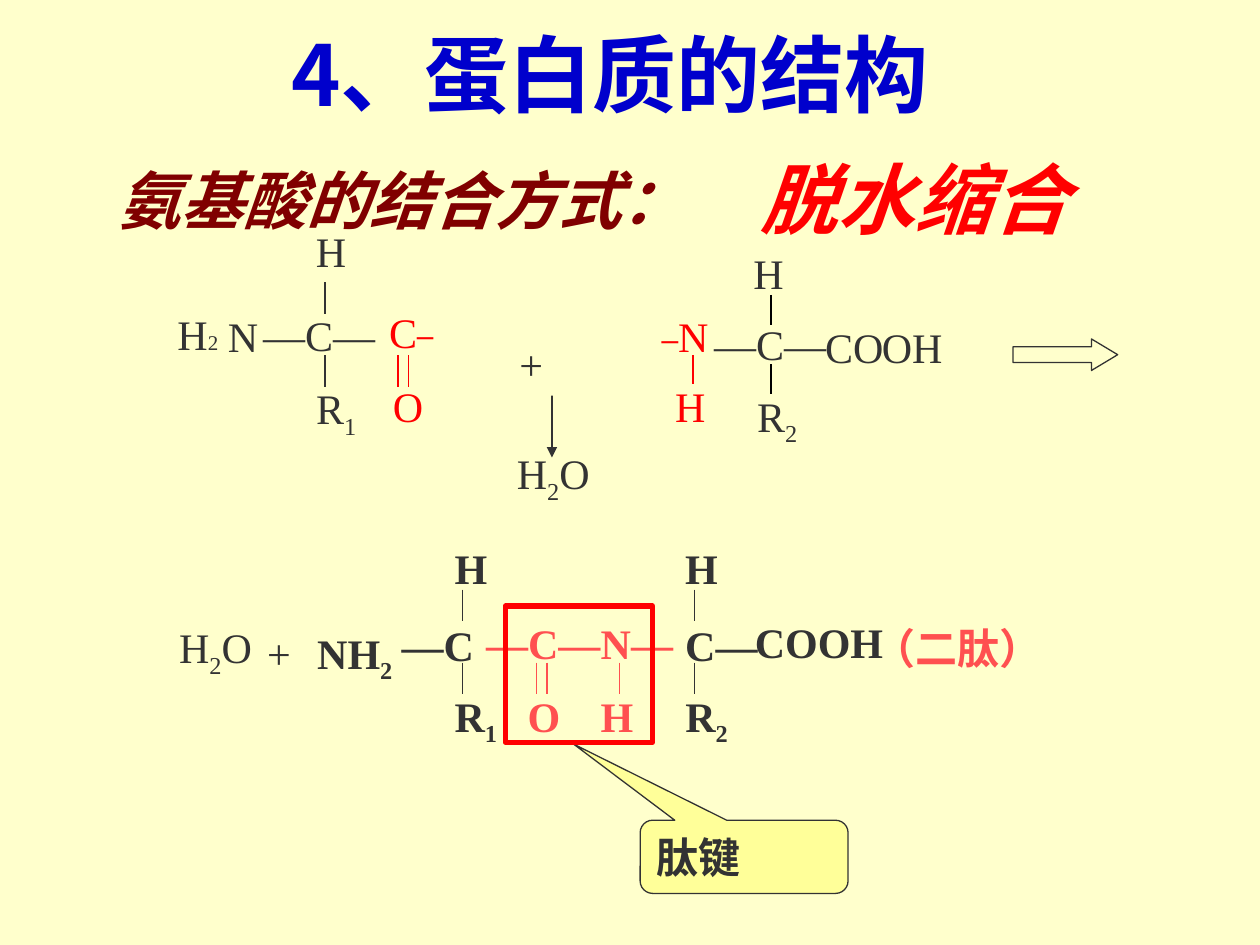
from dataclasses import dataclass
from itertools import groupby

from lxml import etree
from pptx import Presentation
from pptx.dml.color import RGBColor
from pptx.enum.shapes import MSO_CONNECTOR, MSO_SHAPE
from pptx.enum.text import MSO_ANCHOR, MSO_AUTO_SIZE, PP_ALIGN
from pptx.oxml.ns import qn
from pptx.util import Pt

TOP, MIDDLE = MSO_ANCHOR.TOP, MSO_ANCHOR.MIDDLE
LEFT, CENTER = PP_ALIGN.LEFT, PP_ALIGN.CENTER
GROW, FIXED = MSO_AUTO_SIZE.SHAPE_TO_FIT_TEXT, MSO_AUTO_SIZE.NONE
STRAIGHT = MSO_CONNECTOR.STRAIGHT
RECTANGLE, RIGHT_ARROW = MSO_SHAPE.RECTANGLE, MSO_SHAPE.RIGHT_ARROW
CALLOUT = MSO_SHAPE.ROUNDED_RECTANGULAR_CALLOUT

LATIN_FONT, CJK_FONT = "Times New Roman", "Noto Sans CJK JP"
CREAM, YELLOW, INK, BLACK = "FFFFCC", "FFFF99", "333333", "000000"
BLUE, MAROON, RED, CORAL = "0000CC", "800000", "FF0000", "FF5050"
LINE_HEIGHT, SUBSCRIPT_HEIGHT = 36, 40.3


@dataclass(frozen=True)
class Label:
    """Text in a box; lengths in points. Digits are subscripts unless given a size."""
    text: str
    left: float
    top: float
    width: float = 36
    color: str = INK
    height: float = LINE_HEIGHT
    size: float = 24
    bold: bool = False
    italic: bool = False
    centered: bool = False
    wrap: bool = True
    digit_size: float = 0


@dataclass(frozen=True)
class Bond:
    x: float
    top: float
    color: str = INK
    length: float = 18


HEADINGS = [
    Label("氨基酸的结合方式：", 59.8, 88.6, 442, MAROON, 50.4, 36, True, True),
    Label("脱水缩合", 427.7, 82.8, 204.5, RED, 60.5, 44, True, True),
]

REACTANT_BONDS = [
    Bond(185.8, 161.3), Bond(185.8, 203),
    Bond(227.5, 203, RED), Bond(233.3, 203, RED),
    Bond(396, 203, RED, 16.6),
    Bond(440.6, 168.5, BLACK, 17.3), Bond(440.6, 208.1, BLACK, 17.3),
]
REACTANT_LABELS = [
    Label("N", 123.1, 174.2, 90),
    Label("H", 173.5, 125.3),
    Label("R1", 173.5, 215.3, 66.2, height=SUBSCRIPT_HEIGHT),
    Label("—C—", 143.3, 173.5, 108),
    Label("C—", 215.3, 171.4, 72, RED),
    Label("O", 217.4, 213.8, color=RED),
    Label("H2", 94.3, 172.8, 56.9, digit_size=12),
    Label("—N", 356.4, 174.2, 90, RED),
    Label("H", 378.7, 213.8, color=RED),
    Label("H", 423.4, 138.2),
    Label("R2", 425.5, 219.6, 66.2, height=SUBSCRIPT_HEIGHT),
    Label("—C—", 401, 178.4, 108),
    Label("CO", 464.4, 180, 72),
    Label("OH", 496.8, 180, 54),
]

UPPER_BOND, LOWER_BOND = 337, 378.7
DIPEPTIDE_BONDS = [
    Bond(x, top) for x in (264.2, 396.7) for top in (UPPER_BOND, LOWER_BOND)
] + [Bond(x, LOWER_BOND, CORAL) for x in (306.7, 312.5, 354.2)]
DIPEPTIDE_LABELS = [
    Label("—C", 222.5, 350.7, 108, bold=True),
    Label("NH2", 174.2, 355, 90, height=SUBSCRIPT_HEIGHT, bold=True),
    Label("H", 252.7, 306.7, bold=True),
    Label("R1", 252.7, 391, 66.2, height=SUBSCRIPT_HEIGHT, bold=True),
    Label("—C—", 270.7, 349.2, 102.2, CORAL, bold=True),
    Label("O", 294.5, 391, color=CORAL, bold=True),
    Label("N—", 336.2, 349.2, 66.2, CORAL, bold=True),
    Label("H", 336.2, 391, color=CORAL, bold=True),
    Label("C—", 384.5, 350.7, 78, bold=True),
    Label("H", 384.5, 306.7, bold=True),
    Label("R2", 384.5, 391, 66.2, height=SUBSCRIPT_HEIGHT, bold=True),
    Label("COOH", 424.1, 348.5, 87.8, bold=True, centered=True, wrap=False),
    Label("（二肽）", 468.7, 352.1, 157, CORAL, bold=True, centered=True),
]
WATER_LABELS = [
    Label("H2O", 288, 252, 56.2, height=SUBSCRIPT_HEIGHT, centered=True, wrap=False),
    Label("+", 145.4, 355, 28.1, centered=True, wrap=False),
    Label("H2O", 95, 351.4, 56.2, height=SUBSCRIPT_HEIGHT, centered=True, wrap=False),
]


def rgb(color: str) -> RGBColor:
    return RGBColor.from_string(color)


def add_run(paragraph, text: str, color: str, font_name=LATIN_FONT, **formats):
    run = paragraph.add_run()
    run.text = text
    for name, value in {"name": font_name, **formats}.items():
        setattr(run.font, name, value)
    run.font.color.rgb = rgb(color)
    etree.SubElement(run.font._element, qn("a:ea"), typeface=CJK_FONT)
    return run


def format_frame(frame, **formats) -> None:
    for name, value in formats.items():
        setattr(frame, name, value)


def add_label(slide, label: Label) -> None:
    box = slide.shapes.add_textbox(
        Pt(label.left), Pt(label.top), Pt(label.width), Pt(label.height))
    format_frame(box.text_frame, word_wrap=label.wrap, auto_size=GROW,
                 vertical_anchor=MIDDLE if label.centered else TOP)
    paragraph = box.text_frame.paragraphs[0]
    paragraph.alignment = CENTER if label.centered else LEFT
    for is_digit, characters in groupby(label.text, str.isdigit):
        size = label.digit_size if is_digit and label.digit_size else label.size
        run = add_run(paragraph, "".join(characters), label.color, size=Pt(size),
                      bold=label.bold, italic=label.italic)
        if is_digit and not label.digit_size:
            run.font._element.set("baseline", "-25000")


def add_bond(slide, bond: Bond):
    line = slide.shapes.add_connector(
        STRAIGHT, Pt(bond.x), Pt(bond.top), Pt(bond.x), Pt(bond.top + bond.length))
    line.line.color.rgb = rgb(bond.color)
    line.line.width = Pt(0.75)
    etree.SubElement(line._element.spPr, qn("a:effectLst"))
    return line


def add_outline(slide, kind, left: float, top: float, width: float, height: float,
                fill: str = "", line: str = "", line_width: float = 0.75,
                adjustments: tuple = ()):
    shape = slide.shapes.add_shape(kind, Pt(left), Pt(top), Pt(width), Pt(height))
    shape.shadow.inherit = False
    for index, value in enumerate(adjustments):
        shape.adjustments[index] = value
    if fill:
        shape.fill.solid()
        shape.fill.fore_color.rgb = rgb(fill)
    else:
        shape.fill.background()
    if line:
        shape.line.color.rgb = rgb(line)
        shape.line.width = Pt(line_width)
    else:
        shape.line.fill.background()
    return shape


def add_title(slide) -> None:
    title = slide.shapes.title
    title.left, title.top, title.width, title.height = map(Pt, (76.3, 9.4, 544.3, 64.8))
    format_frame(title.text_frame, word_wrap=True, auto_size=GROW, vertical_anchor=TOP)
    paragraph = title.text_frame.paragraphs[0]
    paragraph.alignment = CENTER
    add_run(paragraph, "4、蛋白质的结构", BLUE, CJK_FONT, size=Pt(48), bold=True)


def add_water_release(slide) -> None:
    arrow = add_bond(slide, Bond(315.4, 221.8, INK, 39.6))
    etree.SubElement(arrow.line._get_or_add_ln(), qn("a:tailEnd"), type="triangle")
    panel = add_outline(slide, RECTANGLE, 247.7, 154.1, 130.3, 72, fill=CREAM)
    format_frame(panel.text_frame, word_wrap=True, auto_size=FIXED, vertical_anchor=TOP)
    plus = panel.text_frame.paragraphs[0]
    plus.alignment, plus.line_spacing = LEFT, 2.25
    plus._p.get_or_add_pPr().set("marL", str(Pt(42)))
    add_run(plus, "+", INK, size=Pt(24))


def add_peptide_bond_callout(slide) -> None:
    callout = add_outline(slide, CALLOUT, 365.8, 468.7, 118.8, 41.8, YELLOW, INK,
                          adjustments=(-0.82, -1.54, 0.17))
    format_frame(callout.text_frame, word_wrap=True, vertical_anchor=MIDDLE)
    paragraph = callout.text_frame.paragraphs[0]
    paragraph.alignment = LEFT
    add_run(paragraph, "肽键", INK, size=Pt(24), bold=True)
    add_outline(slide, RECTANGLE, 288.7, 346.3, 84.2, 77.8, line=RED, line_width=3)


def main() -> None:
    deck = Presentation()
    deck.slide_width, deck.slide_height = Pt(720), Pt(540)
    slide = deck.slides.add_slide(deck.slide_layouts[5])
    slide.background.fill.solid()
    slide.background.fill.fore_color.rgb = rgb(CREAM)
    add_title(slide)
    for bond in DIPEPTIDE_BONDS + REACTANT_BONDS:
        add_bond(slide, bond)
    for label in HEADINGS + WATER_LABELS + DIPEPTIDE_LABELS + REACTANT_LABELS:
        add_label(slide, label)
    add_water_release(slide)
    add_peptide_bond_callout(slide)
    add_outline(slide, RIGHT_ARROW, 578.9, 193.7, 59.8, 18, line=INK,
                adjustments=(0.5, 0.83))
    deck.save("out.pptx")


if __name__ == "__main__":
    main()
